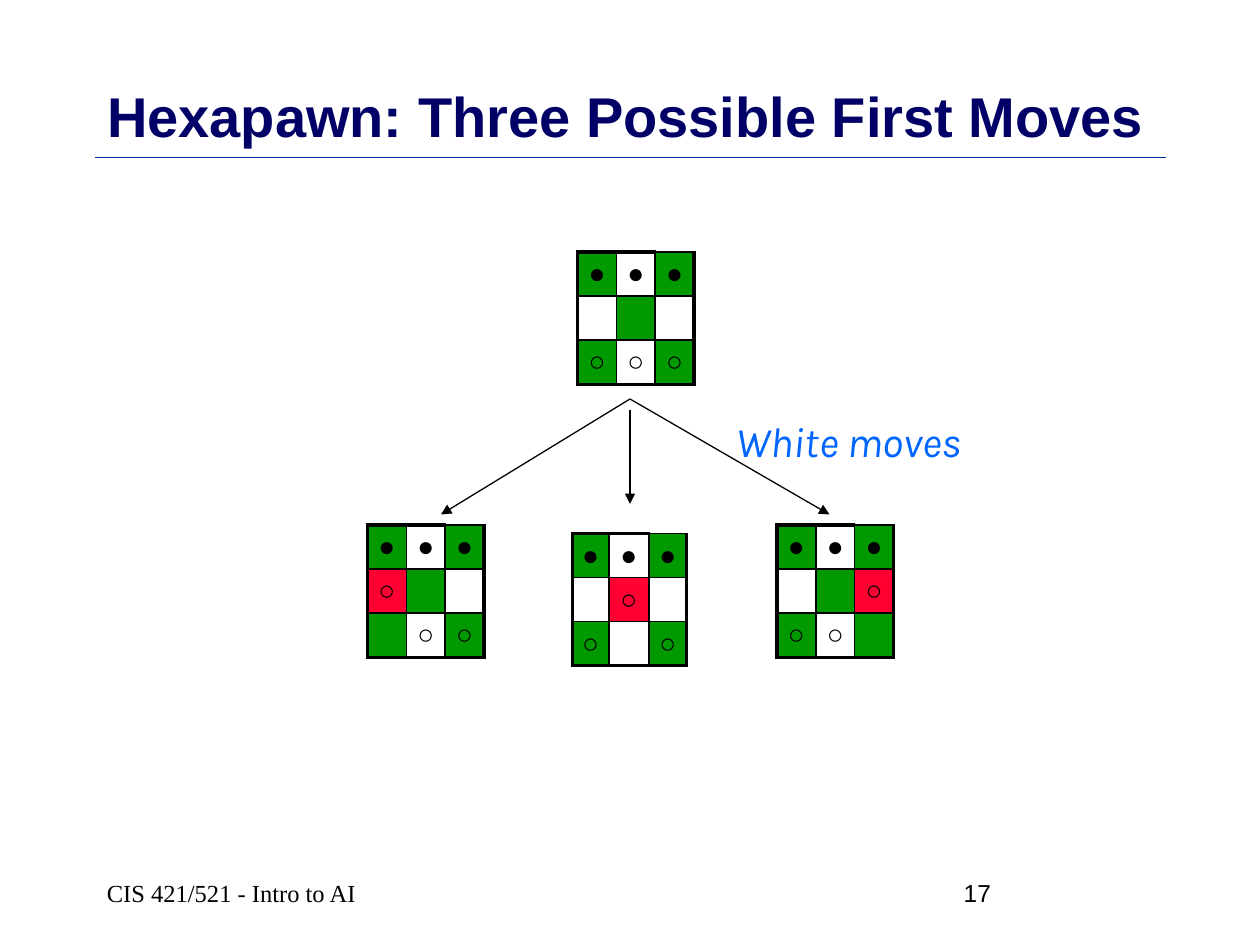
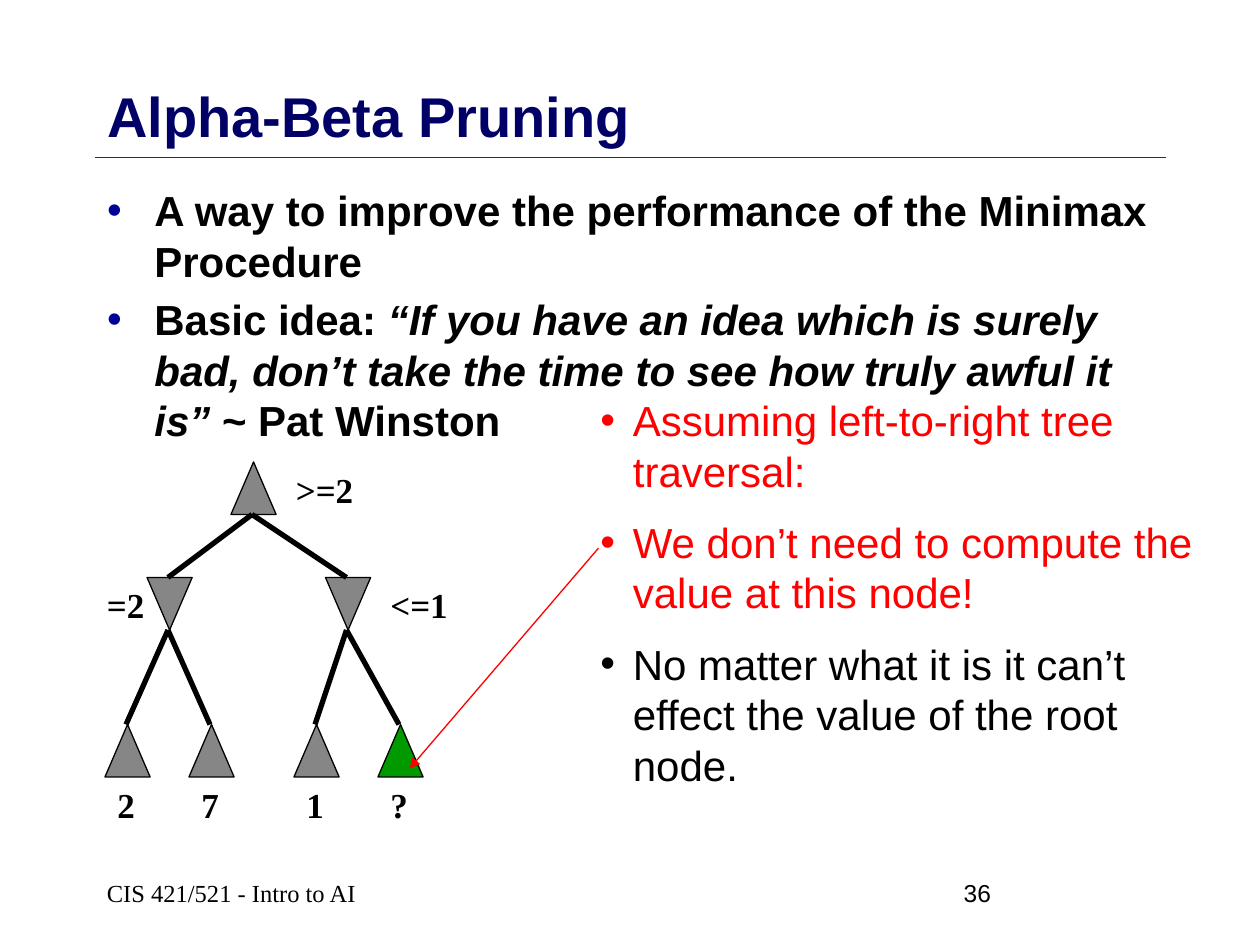
from lxml import etree
from pptx import Presentation, util as u
from pptx.dml import color as dml
from pptx.enum import shapes, text
from pptx.oxml import ns

PX = 7620
SANS, SERIF, HAND = "Arial", "Times New Roman", "Karla"
BLACK, GREEN, RED, GRAY = "000000", "009900", "FF0000", "868686"
paint = dml.RGBColor.from_string


def write(para, words, size=24, color=BLACK, font=SANS, bold=False, italic=False):
    span = para.add_run()
    span.text = words
    span.font.size = u.Pt(size)
    span.font.name = font
    span.font.bold = bold
    span.font.italic = italic
    span.font.color.rgb = paint(color)


def connect(page, start, end, color=BLACK, width=0.75, arrow=False):
    line = page.shapes.add_connector(
        shapes.MSO_CONNECTOR.STRAIGHT, *[v * PX for v in (*start, *end)])
    line.line.color.rgb = paint(color)
    line.line.width = u.Pt(width)
    if arrow:
        etree.SubElement(line.line._get_or_add_ln(), ns.qn("a:tailEnd"), type="triangle")
    etree.SubElement(line._element.spPr, ns.qn("a:effectLst"))


deck = Presentation()
deck.slide_width, deck.slide_height = 1200 * PX, 900 * PX

labels = []
pages = []
for layout, title, number in [
    (5, "Hexapawn: Three Possible First Moves", "17"),
    (1, "Alpha-Beta Pruning", "36"),
]:
    page = deck.slides.add_slide(deck.slide_layouts[layout])
    pages.append(page)
    box = page.shapes.title
    box.left, box.top, box.width, box.height = [v * PX for v in (90, 80, 1020, 60)]
    box.text_frame.auto_size = text.MSO_AUTO_SIZE.NONE
    box.text_frame.vertical_anchor = text.MSO_ANCHOR.MIDDLE
    para = box.text_frame.paragraphs[0]
    para.alignment = text.PP_ALIGN.LEFT
    write(para, title, size=32, color="000066", bold=True)
    connect(page, (90, 150), (1110, 150), color="003399", width=1)
    labels += [
        (page, "CIS 421/521 - Intro to AI", (90, 820, 310, 60), dict(size=14, font=SERIF)),
        (page, number, (906, 820, 204, 60), dict(size=14)),
    ]
game, pruning = pages

boards = [
    ((740, 500), (37, 37, 37), "●●●", "  ○", "○○ "),
    ((350, 500), (37, 37, 37), "●●●", "○  ", " ○○"),
    ((545, 508), (35, 38, 36), "●●●", " ○ ", "○ ○"),
    ((550, 240), (37, 37, 37), "●●●", "   ", "○○○"),
]
for (left, top), widths, *ranks in boards:
    grid = game.shapes.add_table(
        3, 3, left * PX, top * PX, sum(widths) * PX, 126 * PX).table
    grid.first_row = grid.horz_banding = False
    for column, width in zip(grid.columns, widths):
        column.width = width * PX
    for r, rank in enumerate(ranks):
        grid.rows[r].height = 42 * PX
        for c, pawn in enumerate(rank):
            cell = grid.cell(r, c)
            cell.margin_left = cell.margin_right = cell.margin_top = cell.margin_bottom = 0
            cell.vertical_anchor = text.MSO_ANCHOR.MIDDLE
            para = cell.text_frame.paragraphs[0]
            para.alignment = text.PP_ALIGN.CENTER
            if pawn != " ":
                write(para, pawn, size=16, bold=True)
            if r == 1 and pawn == "○":
                cell.fill.solid()
                cell.fill.fore_color.rgb = paint("FF0033")
            elif (r + c) % 2 == 0:
                cell.fill.solid()
                cell.fill.fore_color.rgb = paint(GREEN)
            else:
                cell.fill.background()
            thick = {"L": c == 0, "R": c == 2, "T": r == 0 and c < 2, "B": r == 2}
            for place, (side, outer) in enumerate(thick.items()):
                edge = etree.Element(ns.qn("a:ln" + side), w=str(u.Pt(2.25 if outer else 1)))
                solid = etree.SubElement(edge, ns.qn("a:solidFill"))
                etree.SubElement(solid, ns.qn("a:srgbClr"), val=BLACK)
                cell._tc.get_or_add_tcPr().insert(place, edge)

for start, end in [((600, 380), (420, 490)), ((600, 390), (600, 480)), ((600, 380), (790, 490))]:
    connect(game, start, end, arrow=True)
labels.append((game, "White moves", (690, 390, 268, 60),
               dict(color="0066FF", font=HAND, italic=True)))

body = pruning.placeholders[1]
body.left, body.top, body.width, body.height = [v * PX for v in (90, 170, 1020, 600)]
notes = pruning.shapes.add_textbox(*[v * PX for v in (560, 370, 607, 400)])
ideas = [
    [("A way to improve the performance of the Minimax Procedure", dict(bold=True))],
    [("Basic idea: ", dict(bold=True)),
     ("“If you have an idea which is surely bad, don’t take the time to see "
      "how truly awful it is”", dict(bold=True, italic=True)),
     (" ~ Pat Winston", dict(bold=True))],
]
remarks = [
    [("Assuming left-to-right tree traversal:", dict(color=RED))],
    [("We don’t need to compute the value at this node!", dict(color=RED))],
    [("No matter what it is it can’t effect the value of the root node.", {})],
]
for box, items, indent, gap, dot in [(body, ideas, 45, 4.8, "000099"), (notes, remarks, 31, 12, None)]:
    frame = box.text_frame
    frame.word_wrap = True
    frame.auto_size = text.MSO_AUTO_SIZE.NONE
    for i, spans in enumerate(items):
        para = frame.add_paragraph() if i else frame.paragraphs[0]
        para.space_before = u.Pt(gap)
        for words, style in spans:
            write(para, words, **style)
        props = para._p.get_or_add_pPr()
        props.set("marL", str(indent * PX))
        props.set("indent", str(-indent * PX))
        if dot:
            tint = etree.SubElement(props, ns.qn("a:buClr"))
            etree.SubElement(tint, ns.qn("a:srgbClr"), val=dot)
        etree.SubElement(props, ns.qn("a:buFont"), typeface=SANS)
        etree.SubElement(props, ns.qn("a:buChar"), char="•")

nodes = [
    (220, 440, GRAY), (310, 550, GRAY), (140, 550, GRAY),
    (180, 690, GRAY), (100, 690, GRAY), (360, 690, GREEN), (280, 690, GRAY),
]
for left, top, fill in nodes:
    node = pruning.shapes.add_shape(
        shapes.MSO_SHAPE.ISOSCELES_TRIANGLE, left * PX, top * PX, 43 * PX, 50 * PX)
    node.rotation = 180 if top == 550 else 0
    node.shadow.inherit = False
    node.fill.solid()
    node.fill.fore_color.rgb = paint(fill)
    node.line.color.rgb = paint(BLACK)
    node.line.width = u.Pt(0.75)

branches = [
    ((240, 490), 550, (160, 330)),
    ((160, 600), 690, (120, 200)),
    ((330, 600), 690, (300, 380)),
]
for parent, level, children in branches:
    for child in children:
        connect(pruning, (child, level), parent, width=3)

for words, left, top, width in [
    ("2", 100, 740, 41), ("7", 180, 740, 41), ("1", 280, 740, 41), ("?", 360, 740, 41),
    ("=2", 90, 550, 60), (">=2", 270, 440, 79), ("<=1", 360, 550, 79),
]:
    labels.append((pruning, words, (left, top, width, 52), dict(size=20, font=SERIF, bold=True)))
connect(pruning, (570, 522), (390, 732), color=RED, arrow=True)

for page, words, place, style in labels:
    box = page.shapes.add_textbox(*[v * PX for v in place])
    box.text_frame.word_wrap = place[2] > 100
    if place[1] == 820:
        box.text_frame.vertical_anchor = text.MSO_ANCHOR.MIDDLE
    write(box.text_frame.paragraphs[0], words, **style)

deck.save("out.pptx")
